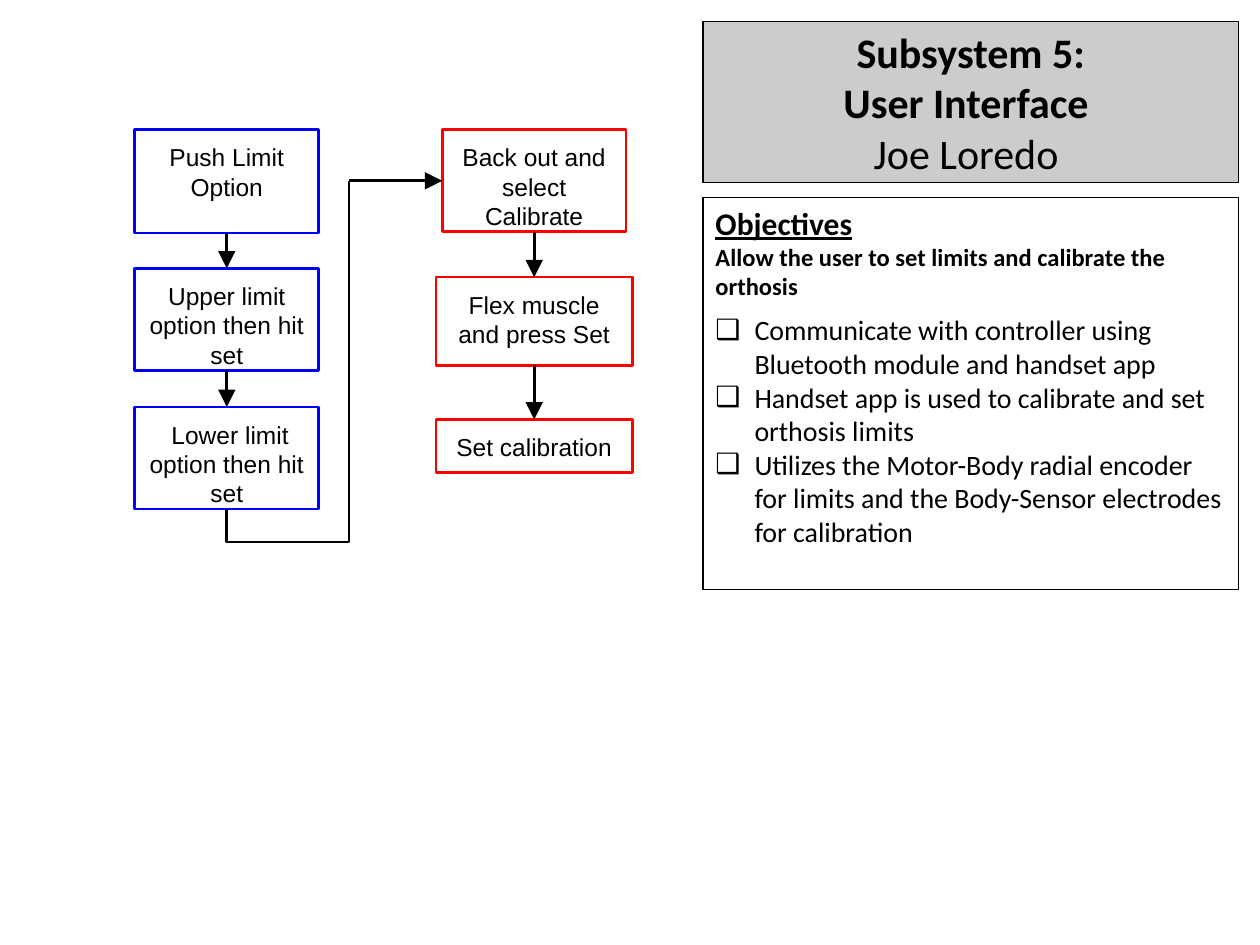
from lxml.etree import SubElement
from pptx import Presentation
from pptx.dml.color import RGBColor
from pptx.enum.shapes import MSO_CONNECTOR, MSO_SHAPE
from pptx.enum.text import MSO_ANCHOR, MSO_AUTO_SIZE, PP_ALIGN
from pptx.oxml.ns import qn
from pptx.util import Inches, Pt

BLACK = RGBColor(0, 0, 0)
GRAY = RGBColor(0xCC, 0xCC, 0xCC)
BLUE = RGBColor(0, 0, 0xFF)
RED = RGBColor(0xFF, 0, 0)

TITLE = [("Subsystem 5:", True), ("User Interface ", True), ("Joe Loredo ", False)]
HEADING = "Objectives"
GOAL = "Allow the user to set limits and calibrate the orthosis"
OBJECTIVES = [
    "Communicate with controller using Bluetooth module and handset app",
    "Handset app is used to calibrate and set orthosis limits",
    "Utilizes the Motor-Body radial encoder for limits and the Body-Sensor electrodes for calibration",
]
FLOWS = [
    {"center": 1.8, "color": BLUE, "steps": [
        ("Push Limit Option", 1.03, 1.46, 0.82),
        ("Upper limit option then hit set", 2.13, 1.46, 0.81),
        (" Lower limit option then hit set", 3.23, 1.46, 0.81),
    ]},
    {"center": 4.24, "color": RED, "steps": [
        ("Back out and select Calibrate", 1.03, 1.46, 0.81),
        ("Flex muscle and press Set", 2.2, 1.56, 0.7),
        ("Set calibration", 3.33, 1.56, 0.42),
    ]},
]
PANEL_LEFT, PANEL_WIDTH = 5.58, 4.25
TURN_X, TURN_DROP = 2.77, 0.26


def add_span(para, text, size, font, bold=False, underline=False):
    span = para.add_run()
    span.text = text
    span.font.size = Pt(size)
    span.font.name = font
    span.font.bold = bold
    span.font.underline = underline
    span.font.color.rgb = BLACK


def set_frame(shape, anchor, margin):
    frame = shape.text_frame
    frame.word_wrap = True
    frame.auto_size = MSO_AUTO_SIZE.NONE
    frame.vertical_anchor = anchor
    frame.margin_left = frame.margin_right = Inches(0.1)
    frame.margin_top = frame.margin_bottom = Inches(margin)
    return frame


def next_para(frame, index, align):
    para = frame.add_paragraph() if index else frame.paragraphs[0]
    para.alignment = align
    para.space_before = Pt(0)
    return para


def add_box(page, left, top, width, height, color, weight):
    box = page.shapes.add_shape(
        MSO_SHAPE.RECTANGLE, Inches(left), Inches(top), Inches(width), Inches(height))
    box.shadow.inherit = False
    box.fill.background()
    box.line.color.rgb = color
    box.line.width = Pt(weight)
    return box


def add_line(page, kind, start_x, start_y, end_x, end_y, arrow=True):
    line = page.shapes.add_connector(
        kind, Inches(start_x), Inches(start_y), Inches(end_x), Inches(end_y))
    line.line.color.rgb = BLACK
    line.line.width = Pt(1.5)
    if arrow:
        SubElement(line.line._get_or_add_ln(), qn("a:tailEnd"),
                   type="triangle", w="lg", len="lg")
    SubElement(line._element.spPr, qn("a:effectLst"))
    return line


def add_title(page):
    title = page.shapes.title
    title.left, title.top = Inches(PANEL_LEFT), Inches(0.17)
    title.width, title.height = Inches(PANEL_WIDTH), Inches(1.28)
    title.fill.solid()
    title.fill.fore_color.rgb = GRAY
    title.line.color.rgb = BLACK
    title.line.width = Pt(0.75)
    frame = set_frame(title, MSO_ANCHOR.MIDDLE, 0.05)
    for index, (text, bold) in enumerate(TITLE):
        add_span(next_para(frame, index, PP_ALIGN.CENTER), text, 24, "Calibri", bold)


def add_objectives(page):
    panel = add_box(page, PANEL_LEFT, 1.57, PANEL_WIDTH, 3.11, BLACK, 0.75)
    frame = set_frame(panel, MSO_ANCHOR.TOP, 0.05)
    add_span(next_para(frame, 0, PP_ALIGN.LEFT), HEADING, 18, "Calibri", True, True)
    add_span(next_para(frame, 1, PP_ALIGN.LEFT), GOAL, 14, "Calibri", True)
    for index, text in enumerate(OBJECTIVES):
        para = next_para(frame, index + 2, PP_ALIGN.LEFT)
        if index == 0:
            para.space_before = Pt(7)
        properties = para._p.get_or_add_pPr()
        properties.set("marL", str(Inches(0.31)))
        properties.set("indent", str(-Inches(0.31)))
        SubElement(properties, qn("a:buFont"), typeface="Arial")
        SubElement(properties, qn("a:buChar"), char="❑")
        add_span(para, text, 16, "Calibri")


def add_flow(page, flow):
    boxes = []
    for text, top, width, height in flow["steps"]:
        box = add_box(page, flow["center"] - width / 2, top, width, height, flow["color"], 1.5)
        frame = set_frame(box, MSO_ANCHOR.TOP, 0.1)
        add_span(next_para(frame, 0, PP_ALIGN.CENTER), text, 14, "Arial")
        boxes.append(box)
    for upper, lower in zip(boxes, boxes[1:]):
        arrow = add_line(page, MSO_CONNECTOR.STRAIGHT, 0, 0, 1, 1)
        arrow.begin_connect(upper, 2)
        arrow.end_connect(lower, 0)
    return boxes


def link_flows(page, last, first):
    start_x = (last.left + last.width / 2) / Inches(1)
    start_y = (last.top + last.height) / Inches(1)
    end_y = (first.top + first.height / 2) / Inches(1)
    rise, run = start_y - end_y, TURN_X - start_x
    middle_x, middle_y = (start_x + TURN_X) / 2, (start_y + end_y) / 2
    elbow = add_line(
        page, MSO_CONNECTOR.ELBOW, middle_x - rise / 2, middle_y - run / 2,
        middle_x + rise / 2, middle_y + run / 2, arrow=False)
    properties = elbow._element.spPr
    properties.find(qn("a:xfrm")).set("rot", str(270 * 60000))
    adjustments = properties.find(qn("a:prstGeom")).find(qn("a:avLst"))
    SubElement(adjustments, qn("a:gd"), name="adj1",
               fmla=f"val {round(-TURN_DROP / rise * 100000)}")
    arrow = add_line(page, MSO_CONNECTOR.STRAIGHT, TURN_X, end_y, TURN_X + 1, end_y)
    arrow.end_connect(first, 1)


def main():
    deck = Presentation()
    deck.slide_width, deck.slide_height = Inches(10), Inches(7.5)
    page = deck.slides.add_slide(deck.slide_layouts[5])
    add_title(page)
    add_objectives(page)
    limits, calibration = [add_flow(page, flow) for flow in FLOWS]
    link_flows(page, limits[-1], calibration[0])
    deck.save("out.pptx")


if __name__ == "__main__":
    main()
